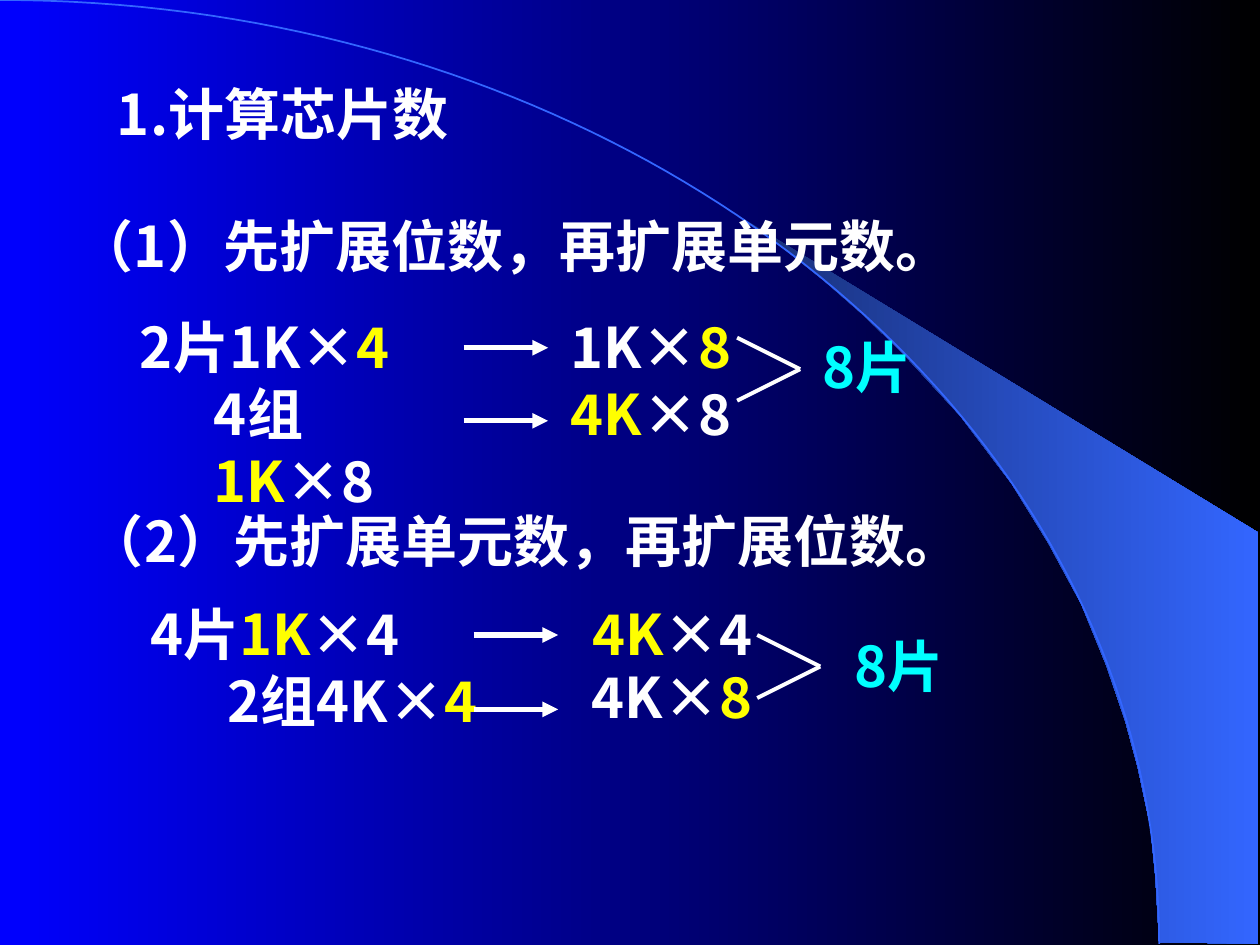
from dataclasses import dataclass

import pptx
import pptx.dml.color
import pptx.enum.shapes
import pptx.oxml
import pptx.oxml.ns
import pptx.util

Point = tuple[float, float]
Pt = pptx.util.Pt


def rgb(value: str) -> pptx.dml.color.RGBColor:
    return pptx.dml.color.RGBColor.from_string(value)


@dataclass(frozen=True)
class Theme:
    font: str = "Noto Sans CJK SC"
    text_size: float = 32
    arrow_width: float = 3
    bracket_width: float = 2.25
    arc_width: float = 1
    white: str = "FFFFFF"
    yellow: str = "FFFF00"
    cyan: str = "00FFFF"
    blue: str = "0000FF"
    black: str = "000000"
    navy: str = "182F76"
    azure: str = "3366FF"


THEME = Theme()
LINE_HEIGHT = 46
WRAPPED_HEIGHT = 84.24


@dataclass(frozen=True)
class Label:
    left: float
    top: float
    width: float
    wording: tuple[tuple[str, str], ...]
    height: float = LINE_HEIGHT
    indent: float = 0


@dataclass(frozen=True)
class Method:
    labels: tuple[Label, ...]
    arrow_left: float
    arrow_tops: tuple[float, float]
    bracket: Point


def white(text: str) -> tuple[str, str]:
    return text, THEME.white


def yellow(text: str) -> tuple[str, str]:
    return text, THEME.yellow


def cyan(text: str) -> tuple[str, str]:
    return text, THEME.cyan


TITLE = Label(59.76, 41.76, 246.24, (white("1.计算芯片数"),))
METHODS = (
    Method(
        labels=(
            Label(37.44, 117.36, 612, (white("（1）先扩展位数，再扩展单元数。"),)),
            Label(37.44, 174.96, 228.24, (white("2片1K×"), yellow("4")),
                  WRAPPED_HEIGHT, 35.5),
            Label(318.96, 174.96, 120.24, (white("1K×"), yellow("8"))),
            Label(115.2, 213.12, 154.08, (white("4组"), yellow("1K"), white("×8")),
                  WRAPPED_HEIGHT),
            Label(318.96, 213.12, 120.24, (yellow("4K"), white("×8"))),
            Label(462.96, 186.48, 84.24, (cyan("8片"),)),
        ),
        arrow_left=264.96,
        arrow_tops=(198.72, 240.48),
        bracket=(421.2, 192.96),
    ),
    Method(
        labels=(
            Label(43.2, 285.84, 612, (white("（2）先扩展单元数，再扩展位数。"),)),
            Label(43.2, 339.12, 228.24, (white("4片"), yellow("1K"), white("×4")),
                  WRAPPED_HEIGHT, 35.5),
            Label(331.2, 339.12, 114.48, (yellow("4K"), white("×4"))),
            Label(123.12, 377.28, 228.24, (white("2组4K×"), yellow("4"))),
            Label(331.2, 375.12, 119.52, (white("4K×"), yellow("8"))),
            Label(480.96, 357.12, 84.24, (cyan("8片"),)),
        ),
        arrow_left=270.72,
        arrow_tops=(362.88, 405.36),
        bracket=(432.72, 362.88),
    ),
)

ARROW_LENGTH = 48.24
BRACKET_DEPTH, BRACKET_RISE = 36, 18
ARC = ((0, 0), (365.76, 0), (662.4, 241.2), (662.4, 539.28))
ARC_STEPS = 80
BEAM = (
    (662.4, 538.56), (719.28, 539.28), (719.28, 304.56), (424.08, 124.56),
    (449.28, 143.28), (470.16, 159.84), (493.2, 180), (515.52, 201.6),
    (548.64, 237.6), (578.16, 276.48), (599.04, 310.32), (617.76, 344.88),
    (632.16, 380.16), (642.96, 411.84), (650.16, 438.48), (657.36, 472.32),
    (660.24, 501.12),
)


def bezier_points(controls: tuple[Point, ...], steps: int) -> list[Point]:
    def blend(axis: int, t: float) -> float:
        a, b, c, d = (control[axis] for control in controls)
        u = 1 - t
        return u**3 * a + 3 * u * u * t * b + 3 * u * t * t * c + t**3 * d

    return [(blend(0, i / steps), blend(1, i / steps)) for i in range(steps + 1)]


def fill_gradient(fill, start: str, end: str) -> None:
    fill.gradient()
    fill.gradient_angle = 0
    for stop, color in zip(fill.gradient_stops, (start, end)):
        stop.color.rgb = rgb(color)


def draw_outline(slide, points, close: bool):
    corners = [(Pt(x), Pt(y)) for x, y in points]
    builder = slide.shapes.build_freeform(*corners[0])
    builder.add_line_segments(corners[1:], close=close)
    outline = builder.convert_to_shape()
    outline.shadow.inherit = False
    return outline


def draw_backdrop(slide) -> None:
    fill_gradient(slide.background.fill, THEME.blue, THEME.black)
    beam = draw_outline(slide, BEAM, True)
    fill_gradient(beam.fill, THEME.navy, THEME.azure)
    beam.line.fill.background()
    arc = draw_outline(slide, bezier_points(ARC, ARC_STEPS), False)
    arc.fill.background()
    arc.line.color.rgb = rgb(THEME.azure)
    arc.line.width = Pt(THEME.arc_width)


def draw_label(slide, label: Label) -> None:
    box = slide.shapes.add_textbox(
        Pt(label.left), Pt(label.top), Pt(label.width), Pt(label.height))
    box.text_frame.word_wrap = True
    paragraph = box.text_frame.paragraphs[0]
    paragraph.font.name = THEME.font
    paragraph.font.size = Pt(THEME.text_size)
    paragraph.font.bold = True
    properties = paragraph._p.get_or_add_pPr()
    if label.indent:
        properties.set("marL", str(Pt(label.indent)))
    east_asian = pptx.oxml.ns.qn("a:ea")
    defaults = properties.find(pptx.oxml.ns.qn("a:defRPr"))
    defaults.append(defaults.makeelement(east_asian, {"typeface": THEME.font}))
    for text, color in label.wording:
        run = paragraph.add_run()
        run.text = text
        run.font.color.rgb = rgb(color)


def draw_line(slide, start: Point, end: Point, width: float, arrow: bool = False) -> None:
    line = slide.shapes.add_connector(
        pptx.enum.shapes.MSO_CONNECTOR.STRAIGHT,
        *(Pt(value) for value in (*start, *end)))
    line.line.color.rgb = rgb(THEME.white)
    line.line.width = Pt(width)
    properties = line._element.spPr
    if arrow:
        stroke = properties.find(pptx.oxml.ns.qn("a:ln"))
        stroke.append(stroke.makeelement(
            pptx.oxml.ns.qn("a:tailEnd"), {"type": "triangle"}))
    properties.append(properties.makeelement(pptx.oxml.ns.qn("a:effectLst"), {}))


def draw_method(slide, method: Method) -> None:
    for label in method.labels:
        draw_label(slide, label)
    for top in method.arrow_tops:
        draw_line(slide, (method.arrow_left, top),
                  (method.arrow_left + ARROW_LENGTH, top), THEME.arrow_width, True)
    left, top = method.bracket
    apex = (left + BRACKET_DEPTH, top + BRACKET_RISE)
    draw_line(slide, (left, top), apex, THEME.bracket_width)
    draw_line(slide, apex, (left, top + 2 * BRACKET_RISE), THEME.bracket_width)


def main() -> None:
    presentation = pptx.Presentation()
    presentation.slide_width = Pt(720)
    presentation.slide_height = Pt(540)
    slide = presentation.slides.add_slide(presentation.slide_layouts[6])
    draw_backdrop(slide)
    draw_label(slide, TITLE)
    for method in METHODS:
        draw_method(slide, method)
    presentation.save("out.pptx")


if __name__ == "__main__":
    main()
